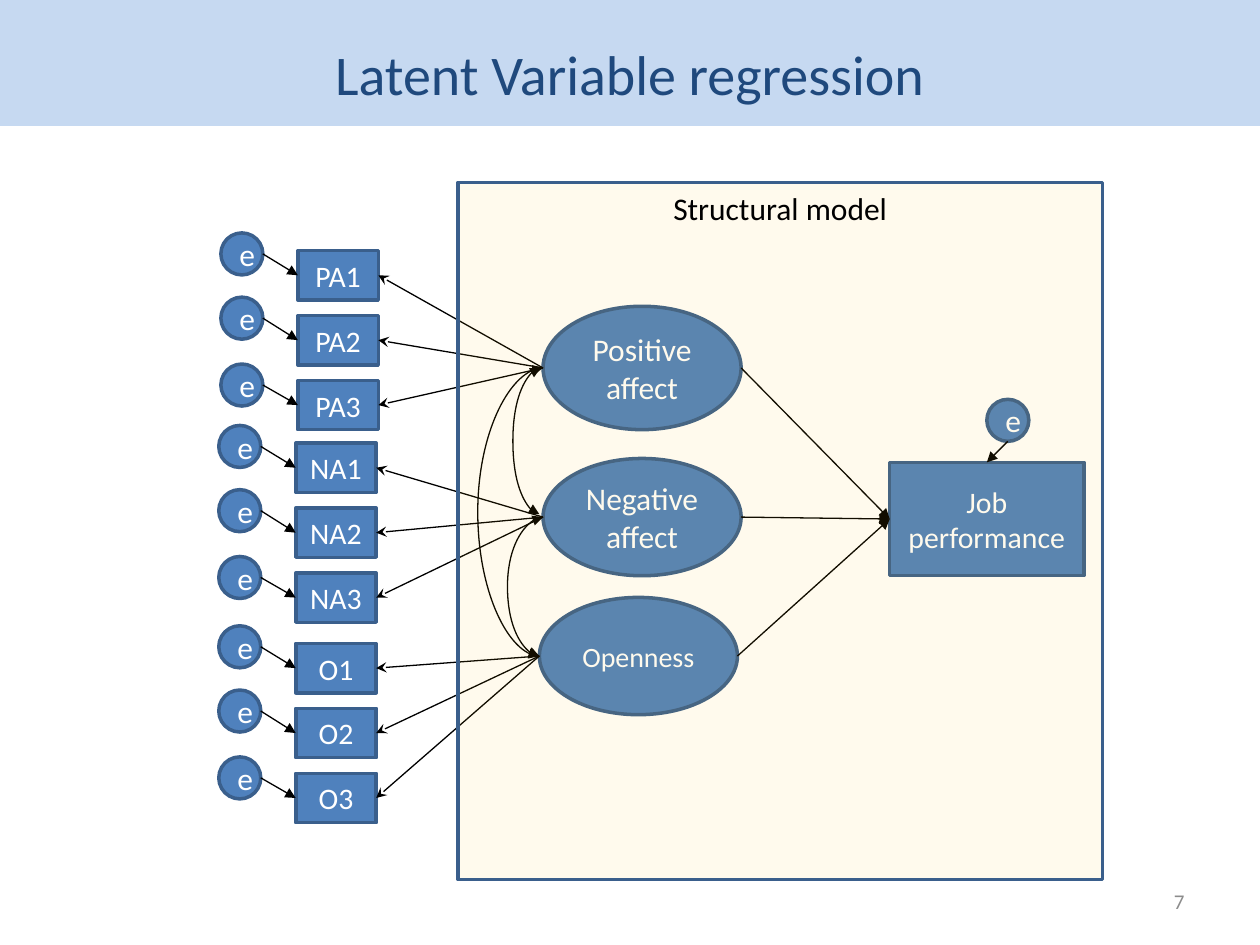
from dataclasses import dataclass

import pptx
import pptx.dml.color
import pptx.enum.shapes
import pptx.enum.text
import pptx.oxml
import pptx.oxml.ns
import pptx.util

Pt = pptx.util.Pt
Kind = pptx.enum.shapes.MSO_SHAPE
Link = pptx.enum.shapes.MSO_CONNECTOR
Align = pptx.enum.text.PP_ALIGN
Anchor = pptx.enum.text.MSO_ANCHOR
qn = pptx.oxml.ns.qn

BLUE, EDGE, WHITE, BLACK = "4F81BD", "3A5F8C", "FFFFFF", "000000"
NS = 'xmlns:a="http://schemas.openxmlformats.org/drawingml/2006/main"'


@dataclass
class Node:
    text: str
    x: float
    y: float
    w: float
    h: float
    size: float = 18
    kind: int = Kind.OVAL

    @property
    def left(self) -> tuple:
        return self.x, self.y + self.h / 2

    @property
    def right(self) -> tuple:
        return self.x + self.w, self.y + self.h / 2

    @property
    def top(self) -> tuple:
        return self.x + self.w / 2, self.y

    @property
    def base(self) -> tuple:
        return self.x + self.w / 2, self.y + self.h


@dataclass
class Group:
    """A latent variable and the items that measure it."""
    latent: Node
    code: str
    x: float
    y: float


def paint(color, value: str) -> None:
    color.rgb = pptx.dml.color.RGBColor.from_string(value)


def fill(shape, value: str) -> None:
    shape.fill.solid()
    paint(shape.fill.fore_color, value)


def write(shape, text: str, *, size: float = 18, color: str = WHITE,
          align=Align.CENTER, anchor=Anchor.MIDDLE, space: float = 1.0) -> None:
    frame = shape.text_frame
    frame.word_wrap = True
    frame.vertical_anchor = anchor
    para = frame.paragraphs[0]
    para.alignment, para.line_spacing = align, space
    run = para.add_run()
    run.text = text
    run.font.name, run.font.size = "Calibri", Pt(size)
    paint(run.font.color, color)


def draw(slide, node: Node, back: str = BLUE, **style):
    shape = slide.shapes.add_shape(
        node.kind, Pt(node.x), Pt(node.y), Pt(node.w), Pt(node.h))
    shape.shadow.inherit = False
    fill(shape, back)
    paint(shape.line.color, EDGE)
    shape.line.width = Pt(2)
    write(shape, node.text, size=node.size, **style)
    return shape


def join(slide, start: tuple, end: tuple, head: str = "", tail: str = "",
         kind=Link.STRAIGHT):
    line = slide.shapes.add_connector(kind, *(Pt(v) for v in (*start, *end)))
    paint(line.line.color, BLACK)
    line.line.width = Pt(0.75)
    pen = line.line._get_or_add_ln()
    for tag, shape in (("headEnd", head), ("tailEnd", tail)):
        if shape:
            pen.append(pptx.oxml.parse_xml(f'<a:{tag} {NS} type="{shape}"/>'))
    line._element.spPr.append(pptx.oxml.parse_xml(f"<a:effectLst {NS}/>"))
    return line


def bend(slide, start: tuple, end: tuple, via: float) -> None:
    """Double-headed curve that bulges left as far as via."""
    line = join(slide, start, end, "triangle", "triangle", Link.CURVE)
    ratio = round((start[0] - via) / (start[0] - end[0]) * 100000)
    guides = line._element.spPr.find(qn("a:prstGeom")).get_or_add_avLst()
    guides.append(pptx.oxml.parse_xml(
        f'<a:gd {NS} name="adj1" fmla="val {ratio}"/>'))


def error(x: float, y: float) -> Node:
    return Node("e", x, y, 24, 24)


def measure(slide, group: Group) -> None:
    """Three items, each with its error term and its loading."""
    for i, drop in enumerate((0, 36.7, 74.9)):
        item = Node(f"{group.code}{i + 1}", group.x, group.y + 37.1 * i,
                    46, 28.2, 17, Kind.RECTANGLE)
        noise = error(group.x - 44, group.y - 10.1 + drop)
        draw(slide, item)
        draw(slide, noise)
        join(slide, noise.right, item.left, tail="triangle")
        join(slide, item.right, group.latent.left, head="stealth")


def main() -> None:
    deck = pptx.Presentation()
    deck.slide_width, deck.slide_height = Pt(720), Pt(540)
    slide = deck.slides.add_slide(deck.slide_layouts[5])

    # Title band
    title = slide.shapes.title
    title.left, title.top, title.width, title.height = Pt(0), Pt(0), Pt(720), Pt(72)
    fill(title, "C6D9F1")
    write(title, "Latent Variable regression", size=32, color="1F497D",
          anchor=Anchor.TOP, space=1.5)

    # Slide number
    number = slide.shapes.add_textbox(Pt(516), Pt(500.5), Pt(168), Pt(28.8))
    write(number, "7", size=12, color="8C8C8C", align=Align.RIGHT)

    # Latent variables and outcome
    pos = Node("Positive affect", 310.3, 175, 113.2, 70.5)
    neg = Node("Negative affect", 310.3, 262, 113.2, 67)
    openness = Node("Openness", 308.2, 341.4, 113.2, 67, 16)
    job = Node("Job performance", 508.4, 264.2, 111, 64.8, 17, Kind.RECTANGLE)
    draw(slide, job)
    for latent in (pos, neg, openness):
        draw(slide, latent)
        join(slide, latent.right, job.left, tail="triangle")

    # Correlations between the latent variables
    bend(slide, (309, 210.2), (308.2, 293.8), 293)
    bend(slide, neg.left, openness.left, 290)
    bend(slide, pos.left, openness.left, 273)

    # Measurement models
    for group in (Group(pos, "PA", 170.2, 143.2),
                  Group(neg, "NA", 169, 253.2),
                  Group(openness, "O", 169, 367.7)):
        measure(slide, group)

    # Outcome error
    noise = error(563.9, 228.2)
    draw(slide, noise)
    join(slide, noise.base, job.top, tail="triangle")

    # Tinted frame over the structural model
    frame = Node("Structural model", 261.7, 104.2, 368.3, 398.4, 18,
                 Kind.RECTANGLE)
    shape = draw(slide, frame, "FFC000", color=BLACK, anchor=Anchor.TOP)
    tint = shape._element.spPr.find(qn("a:solidFill"))[0]
    tint.append(pptx.oxml.parse_xml(f'<a:alpha {NS} val="7000"/>'))

    deck.save("out.pptx")


if __name__ == "__main__":
    main()
